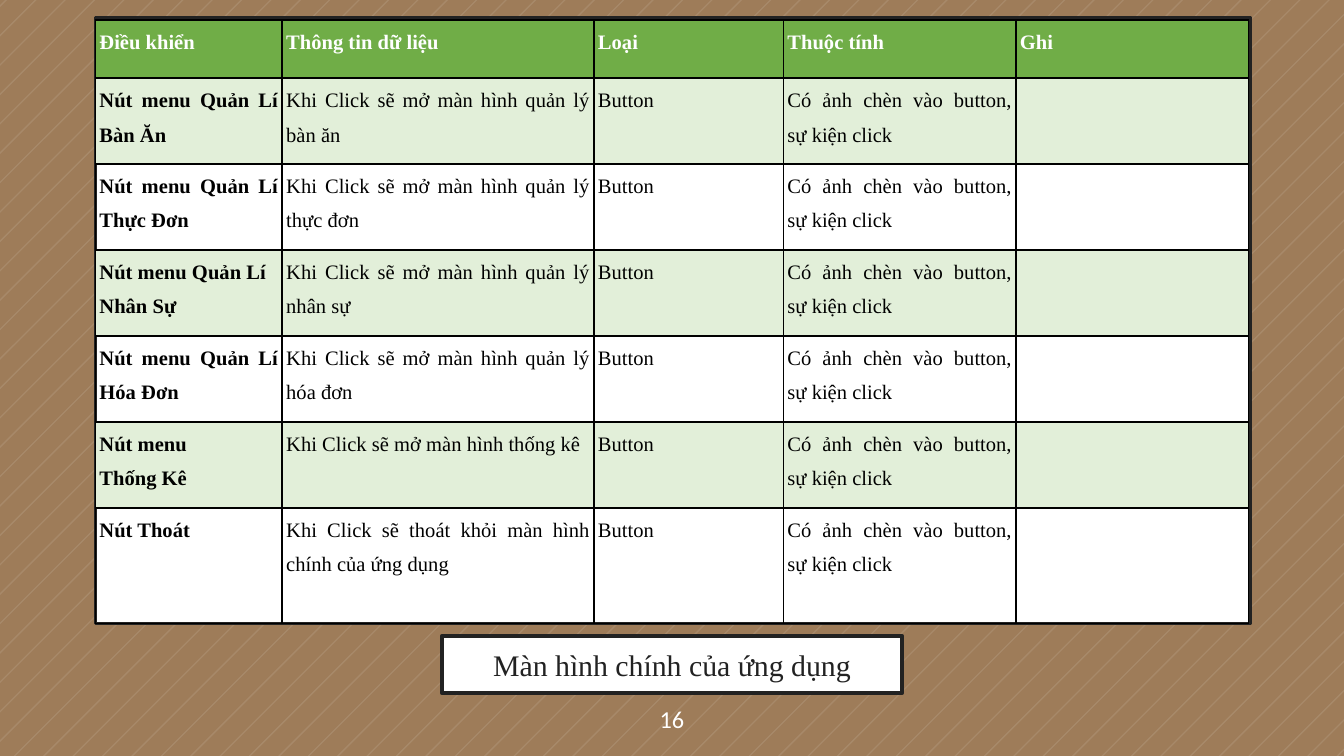
from dataclasses import dataclass

from lxml.etree import SubElement
from pptx import Presentation
from pptx.dml.color import RGBColor
from pptx.enum.shapes import MSO_SHAPE
from pptx.enum.text import MSO_ANCHOR, PP_ALIGN
from pptx.oxml import parse_xml
from pptx.oxml.ns import nsdecls, qn
from pptx.util import Inches, Pt

BROWN = RGBColor(0x9E, 0x7C, 0x59)
WHITE = RGBColor(0xFF, 0xFF, 0xFF)
BLACK = RGBColor(0x00, 0x00, 0x00)
DARK = RGBColor(0x22, 0x22, 0x22)
GREEN = RGBColor(0x70, 0xAD, 0x47)
PALE = RGBColor(0xE2, 0xEF, 0xD9)

SERIF = "Times New Roman"
WIDTH, HEIGHT = Inches(10), Inches(10 * 9 / 16)

HEAD = ("Điều khiển", "Thông tin dữ liệu", "Loại", "Thuộc tính", "Ghi")
KIND = "Button"
TRAIT = "Có ảnh chèn vào button, sự kiện click"
COLS = (1.39, 2.32, 1.41, 1.73, 1.73)
ROWS = (0.43, *[0.64] * 5, 0.86)


@dataclass
class Entry:
    name: str
    info: str


@dataclass
class Box:
    left: float
    top: float
    width: float
    height: float

    def place(self) -> tuple:
        return tuple(map(Inches, (self.left, self.top, self.width, self.height)))


ENTRIES = (
    Entry("Nút menu Quản Lí Bàn Ăn", "Khi Click sẽ mở màn hình quản lý bàn ăn"),
    Entry("Nút menu Quản Lí Thực Đơn", "Khi Click sẽ mở màn hình quản lý thực đơn"),
    Entry("Nút menu Quản Lí\nNhân Sự", "Khi Click sẽ mở màn hình quản lý nhân sự"),
    Entry("Nút menu Quản Lí Hóa Đơn", "Khi Click sẽ mở màn hình quản lý hóa đơn"),
    Entry("Nút menu\nThống Kê", "Khi Click sẽ mở màn hình thống kê"),
    Entry("Nút Thoát", "Khi Click sẽ thoát khỏi màn hình chính của ứng dụng"),
)


def set_all(item, values: dict) -> None:
    for key, value in values.items():
        setattr(item, key, value)


def write(frame, text: str, color: RGBColor, form: dict, para: dict) -> None:
    frame.text = text
    for line in frame.paragraphs:
        set_all(line, para)
        for font in [run.font for run in line.runs] or [line.font]:
            set_all(font, form)
            font.color.rgb = color


def add_stripes(slide) -> None:
    count, first, last = 72, Inches(0.04), Inches(15.57)
    thick = Pt(1)

    def upper(total: int) -> tuple:
        return min(total, WIDTH), max(0, total - WIDTH)

    def lower(total: int) -> tuple:
        return max(0, total - HEIGHT), min(total, HEIGHT)

    pen = None
    for step in range(count):
        near = first + round((last - first) * step / (count - 1))
        far = near + thick
        start = upper(near)
        if pen is None:
            pen = slide.shapes.build_freeform(*start)
        else:
            pen.move_to(*start)
        pen.add_line_segments([lower(near), lower(far), upper(far)], close=True)
    shape = pen.convert_to_shape()
    shape.shadow.inherit = False
    shape.line.fill.background()
    shape.fill.solid()
    shape.fill.fore_color.rgb = WHITE
    tint = shape.fill._xPr.find(qn("a:solidFill"))[0]
    SubElement(tint, qn("a:alpha"), val="10000")


def add_panel(slide, box: Box):
    shape = slide.shapes.add_shape(MSO_SHAPE.RECTANGLE, *box.place())
    shape.shadow.inherit = False
    shape.fill.solid()
    shape.fill.fore_color.rgb = WHITE
    shape.line.color.rgb = DARK
    shape.line.width = Pt(2)
    return shape


def add_borders(cell) -> None:
    props = cell._tc.get_or_add_tcPr()
    for side in "LRTB":
        props.append(parse_xml(
            f'<a:ln{side} {nsdecls("a")} w="{Pt(1)}"><a:solidFill>'
            f'<a:srgbClr val="{BLACK}"/></a:solidFill></a:ln{side}>'))


def add_grid(slide, box: Box) -> None:
    data = [HEAD] + [(e.name, e.info, KIND, TRAIT, "") for e in ENTRIES]
    table = slide.shapes.add_table(len(ROWS), len(COLS), *box.place()).table
    set_all(table, {"first_row": False, "horz_banding": False})
    for col, width in zip(table.columns, COLS):
        col.width = Inches(width)
    for row, height in zip(table.rows, ROWS):
        row.height = Inches(height)
    margins = {"margin_left": Inches(0.03), "margin_right": Inches(0.03),
               "margin_top": 0, "margin_bottom": 0}
    para = {"alignment": PP_ALIGN.JUSTIFY, "line_spacing": 1.5}
    for r, texts in enumerate(data):
        for c, text in enumerate(texts):
            cell = table.cell(r, c)
            set_all(cell, margins)
            add_borders(cell)
            if r == 0 or r % 2:
                cell.fill.solid()
                cell.fill.fore_color.rgb = PALE if r else GREEN
            else:
                cell.fill.background()
            form = {"name": SERIF, "size": Pt(11), "bold": r == 0 or c == 0}
            write(cell.text_frame, text, BLACK if r else WHITE, form, para)


def main() -> None:
    deck = Presentation()
    set_all(deck, {"slide_width": WIDTH, "slide_height": HEIGHT})
    slide = deck.slides.add_slide(deck.slide_layouts[6])
    center = {"alignment": PP_ALIGN.CENTER}

    # Striped background
    slide.background.fill.solid()
    slide.background.fill.fore_color.rgb = BROWN
    add_stripes(slide)

    # Panel behind the table
    add_panel(slide, Box(0.71, 0.13, 8.59, 4.51))

    # Slide number
    number = slide.shapes.add_textbox(*Box(0, 5.08, 10, 0.54).place()).text_frame
    set_all(number, {"word_wrap": True, "vertical_anchor": MSO_ANCHOR.MIDDLE,
                     "margin_top": Inches(0.1), "margin_bottom": Inches(0.1)})
    write(number, "16", WHITE, {"name": "Calibri", "size": Pt(13)}, center)

    # Caption
    label = add_panel(slide, Box(3.29, 4.73, 3.42, 0.43)).text_frame
    label.vertical_anchor = MSO_ANCHOR.MIDDLE
    write(label, "Màn hình chính của ứng dụng", DARK,
          {"name": SERIF, "size": Pt(16)}, center)

    # Table of controls
    add_grid(slide, Box(0.71, 0.15, 8.59, 4.49))

    deck.save("out.pptx")


if __name__ == "__main__":
    main()
